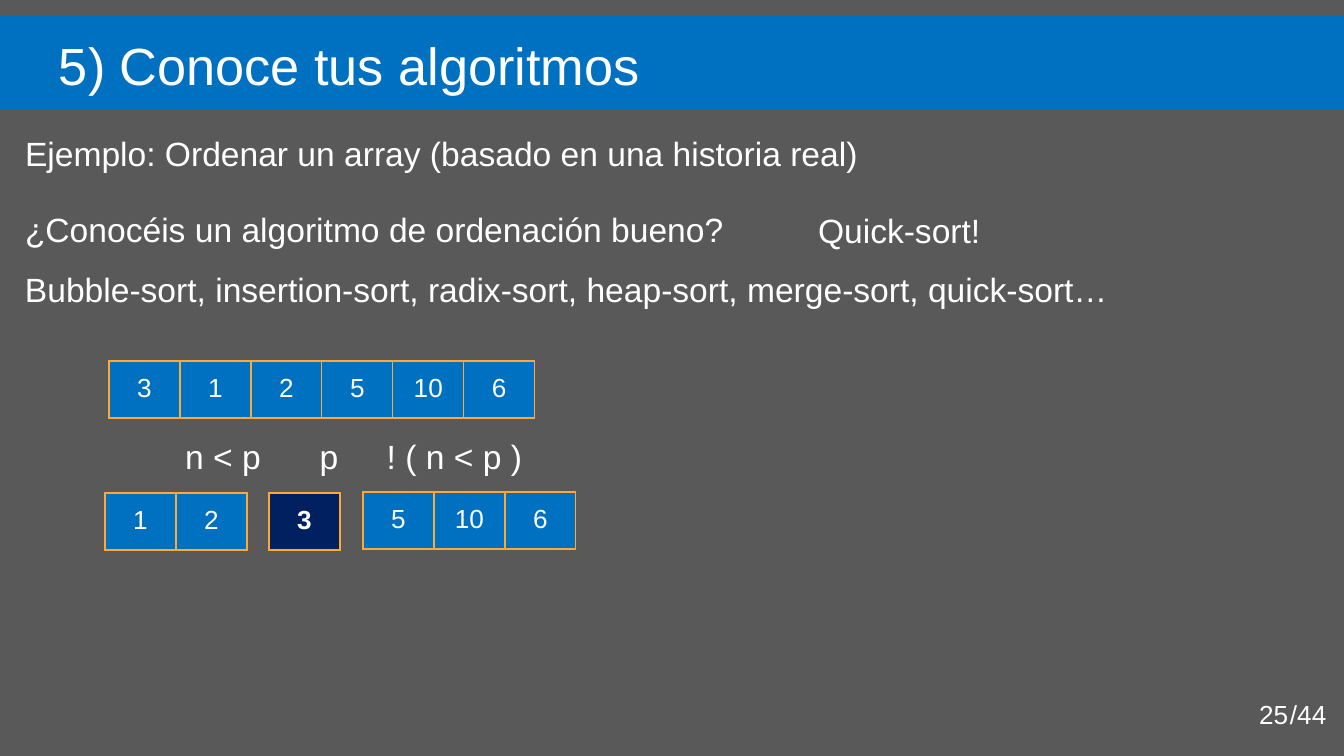
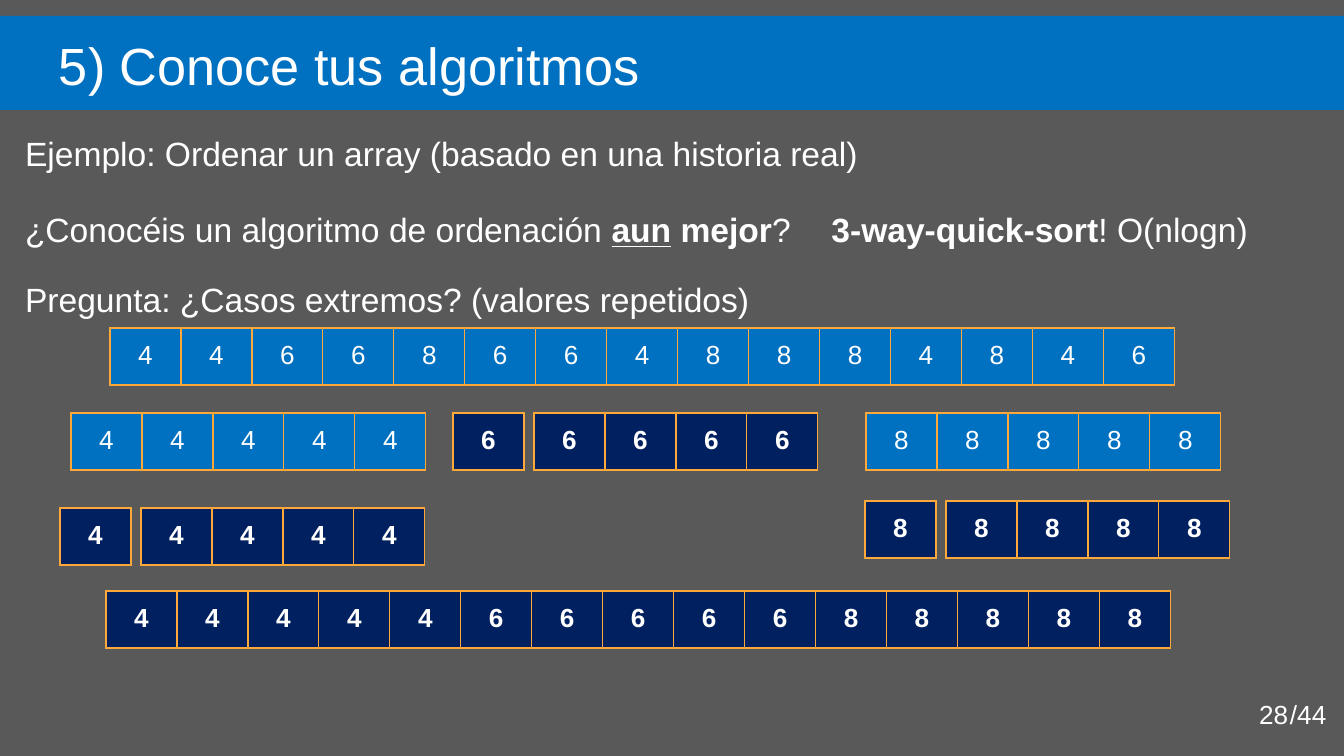
from lxml import etree
from pptx import Presentation
from pptx import util as u
from pptx.dml.color import RGBColor
from pptx.enum import shapes, text
from pptx.oxml.ns import qn

SLIDE_W, SLIDE_H = 1344, 756
EMU_PER_PX = 9144000 / SLIDE_W

FONT = "Arial"
WHITE, GRAY, BLUE, NAVY, ORANGE = "FFFFFF", "595959", "0070C0", "002060", "FEA83A"

INSET = 13
CELL_W, CELL_H = 71, 57
BODY_SPACING = {"line_spacing": 1.15, "after": 16}
SLIDE_TOTAL = 44


def px(length):
    return u.Emu(round(length * EMU_PER_PX))


def color(hex_string):
    return RGBColor.from_string(hex_string)


def paint(fill, hex_string):
    fill.solid()
    fill.fore_color.rgb = color(hex_string)


def write(paragraph, content, *, size=18, bold=False, underline=False,
          align=text.PP_ALIGN.LEFT, line_spacing=1.0, after=0, tabs=()):
    """Write a string, or a list of (string, run format) pairs, in a paragraph."""
    props = paragraph._p.get_or_add_pPr()
    props.set("marL", "0")
    props.set("indent", "0")
    etree.SubElement(props, qn("a:buNone"))
    if tabs:
        stops = etree.SubElement(props, qn("a:tabLst"))
        for position in tabs:
            etree.SubElement(stops, qn("a:tab"), pos=str(px(position)), algn="l")
    paragraph.alignment = align
    paragraph.line_spacing = line_spacing
    paragraph.space_before = u.Pt(0)
    paragraph.space_after = u.Pt(after)
    pieces = [(content, {})] if isinstance(content, str) else content
    for words, style in pieces:
        run = paragraph.add_run()
        run.text = words
        font = run.font
        font.name, font.size = FONT, u.Pt(size)
        font.bold = style.get("bold", bold)
        font.underline = style.get("underline", underline)
        font.color.rgb = color(WHITE)


def place(box, left, top, width, height, anchor=text.MSO_ANCHOR.TOP):
    """Set a text shape's bounds and return its prepared text frame."""
    box.left, box.top, box.width, box.height = map(px, (left, top, width, height))
    frame = box.text_frame
    frame.word_wrap = True
    frame.auto_size = text.MSO_AUTO_SIZE.NONE
    frame.vertical_anchor = anchor
    frame.margin_left = frame.margin_right = px(INSET)
    frame.margin_top = frame.margin_bottom = px(INSET)
    return frame


def add_label(slide, content, bounds, anchor=text.MSO_ANCHOR.TOP, **style):
    frame = place(slide.shapes.add_textbox(0, 0, 0, 0), *bounds, anchor=anchor)
    write(frame.paragraphs[0], content, **style)


def add_band(slide):
    band = slide.shapes.add_shape(shapes.MSO_SHAPE.RECTANGLE,
                                  px(0), px(16), px(SLIDE_W), px(94))
    band.shadow.inherit = False
    paint(band.fill, BLUE)
    band.line.fill.background()
    slide.shapes._spTree.insert(2, band._element)


def fill_body(slide, bounds, paragraphs):
    frame = place(slide.placeholders[1], *bounds)
    for index, (content, style) in enumerate(paragraphs):
        paragraph = frame.add_paragraph() if index else frame.paragraphs[0]
        write(paragraph, content, **style)


def add_base_slide(deck, number):
    slide = deck.slides.add_slide(deck.slide_layouts[1])
    add_band(slide)
    title = place(slide.shapes.title, 46, 20, 1252, 85)
    write(title.paragraphs[0], "5) Conoce tus algoritmos", size=28)
    for content, left, width in ((str(number), 1246, 81), (f"/{SLIDE_TOTAL}", 1277, 67)):
        add_label(slide, content, (left, 686, width, 57),
                  anchor=text.MSO_ANCHOR.MIDDLE, size=14)
    return slide


def outline_cell(cell):
    props = cell._tc.get_or_add_tcPr()
    for side in ("a:lnL", "a:lnR", "a:lnT", "a:lnB"):
        line = etree.SubElement(props, qn(side), w=str(u.Pt(0.75)))
        solid = etree.SubElement(line, qn("a:solidFill"))
        etree.SubElement(solid, qn("a:srgbClr"), val=ORANGE)


def add_array(slide, left, top, values, placed=False):
    """Draw an array; placed values are in their final position."""
    array = slide.shapes.add_table(1, len(values), px(left), px(top),
                                   px(CELL_W * len(values)), px(CELL_H)).table
    array.first_row = array.horz_banding = False
    for column, value in enumerate(values):
        array.columns[column].width = px(CELL_W)
        cell = array.cell(0, column)
        outline_cell(cell)
        paint(cell.fill, NAVY if placed else BLUE)
        cell.margin_left = cell.margin_right = px(INSET)
        cell.margin_top = cell.margin_bottom = px(INSET)
        write(cell.text_frame.paragraphs[0], str(value), size=14, bold=placed,
              align=text.PP_ALIGN.CENTER)


EXAMPLE = ("Ejemplo: Ordenar un array (basado en una historia real)", BODY_SPACING)


def build_quick_sort(deck):
    slide = add_base_slide(deck, 25)
    fill_body(slide, (12, 114, 866, 163), [
        EXAMPLE,
        ("¿Conocéis un algoritmo de ordenación bueno?", BODY_SPACING),
    ])
    add_label(slide, "Quick-sort!", (805, 191, 210, 73), **BODY_SPACING)
    add_label(slide, "Bubble-sort, insertion-sort, radix-sort, heap-sort, merge-sort, quick-sort…",
              (12, 250, 1250, 85), **BODY_SPACING)
    add_label(slide, "\tn < p\tp\t! ( n < p )", (105, 417, 472, 73),
              tabs=(18, 178, 290), **BODY_SPACING)
    add_array(slide, 109, 361, [3, 1, 2, 5, 10, 6])
    add_array(slide, 105, 493, [1, 2])
    add_array(slide, 269, 493, [3], placed=True)
    add_array(slide, 363, 492, [5, 10, 6])


def build_three_way_sort(deck):
    slide = add_base_slide(deck, 28)
    strong = {"bold": True}
    fill_body(slide, (12, 114, 1301, 622), [
        EXAMPLE,
        ([("¿Conocéis un algoritmo de ordenación ", {}),
          ("aun", {"bold": True, "underline": True}), (" mejor", strong), ("?\t", {}),
          ("3-way-quick-sort", strong), ("! O(nlogn)", {})],
         {"tabs": (806,), **BODY_SPACING}),
        ("Pregunta: ¿Casos extremos? (valores repetidos)", {}),
    ])
    values = [4, 4, 6, 6, 8, 6, 6, 4, 8, 8, 8, 4, 8, 4, 6]
    fours, sixes, eights = ([v for v in values if v == key] for key in (4, 6, 8))
    add_array(slide, 110, 328, values)
    add_array(slide, 71, 413, fours)
    add_array(slide, 866, 413, eights)
    for left, top, equal in ((453, 413, sixes), (60, 508, fours), (865, 501, eights)):
        add_array(slide, left, top, equal[:1], placed=True)
        add_array(slide, left + CELL_W + 10, top, equal[1:], placed=True)
    add_array(slide, 106, 591, sorted(values), placed=True)


def main():
    deck = Presentation()
    deck.slide_width, deck.slide_height = px(SLIDE_W), px(SLIDE_H)
    paint(deck.slide_master.background.fill, GRAY)
    build_quick_sort(deck)
    build_three_way_sort(deck)
    deck.save("out.pptx")


if __name__ == "__main__":
    main()
